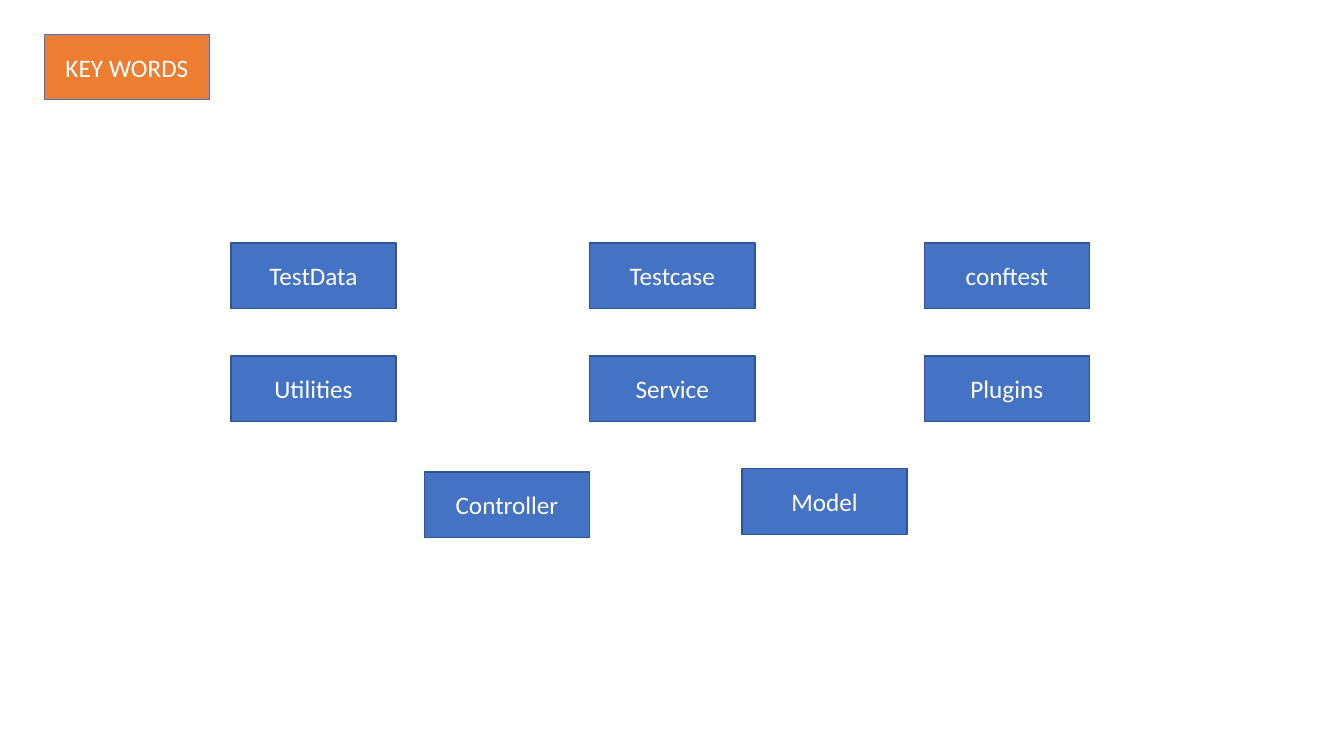
from dataclasses import dataclass

from pptx import Presentation
from pptx.dml.color import RGBColor
from pptx.enum.shapes import MSO_SHAPE
from pptx.enum.text import MSO_ANCHOR, PP_ALIGN
from pptx.slide import Slide
from pptx.util import Pt

WIDTH, HEIGHT = 118, 46.8
COLS = (164.9, 421.2, 660.2)
ROWS = (173.5, 254.2)
GRID = (
    ("TestData", "Testcase", "conftest"),
    ("Utilities", "Service", "Plugins"),
)


@dataclass
class Box:
    text: str
    left: float
    top: float
    fill: str = "4472C4"
    line: str = "325491"


def color(code: str) -> RGBColor:
    return RGBColor.from_string(code)


def draw(slide: Slide, box: Box) -> None:
    shape = slide.shapes.add_shape(
        MSO_SHAPE.RECTANGLE, Pt(box.left), Pt(box.top), Pt(WIDTH), Pt(HEIGHT)
    )
    shape.shadow.inherit = False
    shape.fill.solid()
    shape.fill.fore_color.rgb = color(box.fill)
    shape.line.color.rgb = color(box.line)
    shape.line.width = Pt(1)
    frame = shape.text_frame
    frame.text = box.text
    frame.word_wrap = True
    frame.vertical_anchor = MSO_ANCHOR.MIDDLE
    label = frame.paragraphs[0]
    label.alignment = PP_ALIGN.CENTER
    label.font.name = "Calibri"
    label.font.size = Pt(18)
    label.font.color.rgb = color("FFFFFF")


def main() -> None:
    deck = Presentation()
    deck.slide_width, deck.slide_height = Pt(960), Pt(540)
    slide = deck.slides.add_slide(deck.slide_layouts[6])

    title = Box("KEY WORDS", 31.7, 24.5, fill="ED7D31", line="4472C4")
    grid = [
        Box(word, left, top)
        for top, words in zip(ROWS, GRID)
        for left, word in zip(COLS, words)
    ]
    lower = [Box("Controller", 303.1, 337), Box("Model", 529.9, 334.8)]
    for box in [title, *grid, *lower]:
        draw(slide, box)

    deck.save("out.pptx")


if __name__ == "__main__":
    main()
